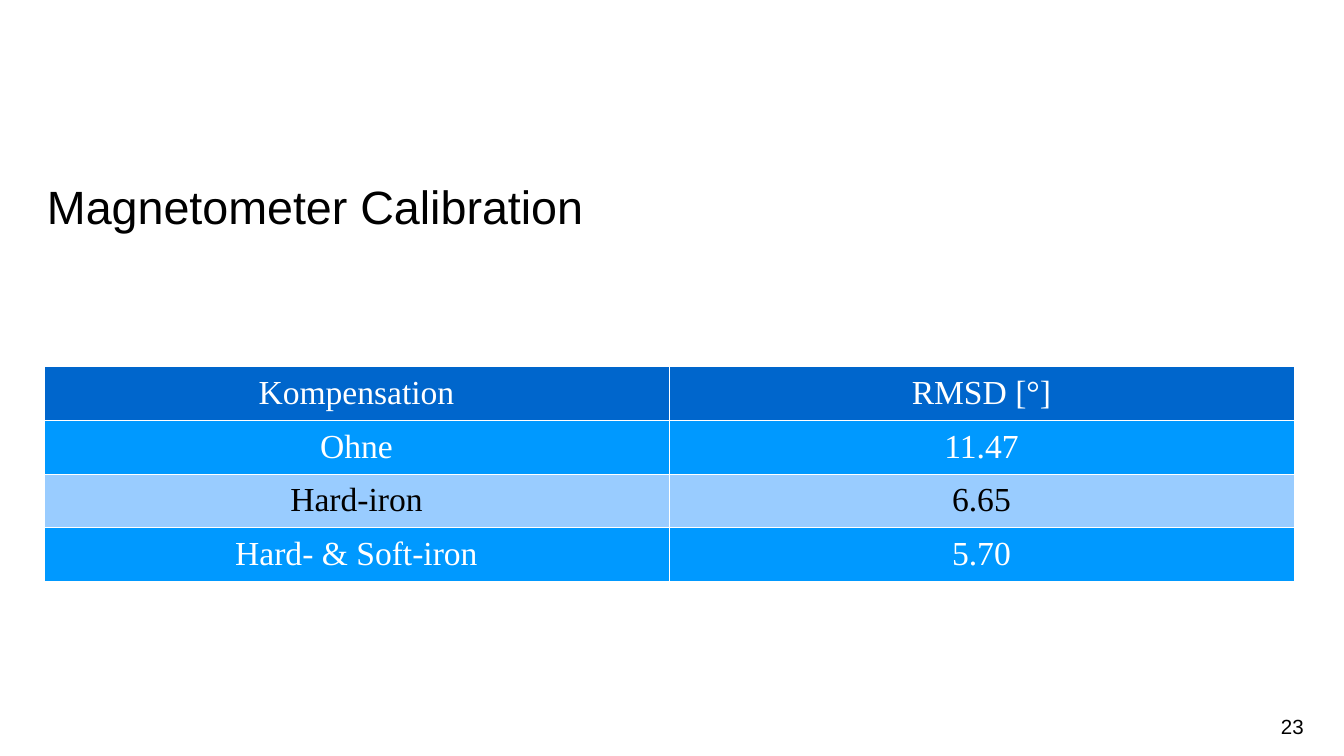
from lxml.etree import SubElement
from pptx import Presentation
from pptx.dml.color import RGBColor
from pptx.enum.text import MSO_ANCHOR, PP_ALIGN
from pptx.oxml.ns import qn
from pptx.util import Emu, Pt

PX_PER_INCH = 134.4
WHITE = RGBColor(0xFF, 0xFF, 0xFF)
BLACK = RGBColor(0x00, 0x00, 0x00)
HEADER_BLUE = RGBColor(0x00, 0x66, 0xCC)
STRONG_BLUE = RGBColor(0x00, 0x99, 0xFF)
PALE_BLUE = RGBColor(0x99, 0xCC, 0xFF)

RESULTS = [
    ("Kompensation", "RMSD [°]"),
    ("Ohne", "11.47"),
    ("Hard-iron", "6.65"),
    ("Hard- & Soft-iron", "5.70"),
]
# Fill and text colour of each row
ROW_COLOURS = [
    (HEADER_BLUE, WHITE),
    (STRONG_BLUE, WHITE),
    (PALE_BLUE, BLACK),
    (STRONG_BLUE, WHITE),
]


def px(length):
    return Emu(round(length * 914400 / PX_PER_INCH))


def write(frame, text, size, font="Arial", colour=BLACK, align=PP_ALIGN.LEFT):
    para = frame.paragraphs[0]
    para.alignment = align
    span = para.add_run()
    span.text = text
    span.font.size = Pt(size)
    span.font.name = font
    span.font.color.rgb = colour


def add_title(page, text):
    title = page.shapes.title
    title.left, title.top, title.width, title.height = px(47), px(143), px(1251), px(126)
    frame = title.text_frame
    frame.margin_left = frame.margin_top = frame.margin_right = frame.margin_bottom = 0
    frame.vertical_anchor = MSO_ANCHOR.MIDDLE
    write(frame, text, 25)


def add_page_number(page, number):
    box = page.shapes.add_textbox(px(781), px(707), px(536), px(50))
    box.text_frame.word_wrap = True
    write(box.text_frame, number, 11, align=PP_ALIGN.RIGHT)


def add_borders(cell, colour, width):
    """Draw a line on all four sides; call before the cell is filled."""
    properties = cell._tc.get_or_add_tcPr()
    for side in ("lnL", "lnR", "lnT", "lnB"):
        line = SubElement(properties, qn(f"a:{side}"), w=str(Pt(width)))
        fill = SubElement(line, qn("a:solidFill"))
        SubElement(fill, qn("a:srgbClr"), val=str(colour))


def add_results_table(page):
    height = px(214)
    table = page.shapes.add_table(
        len(RESULTS), len(RESULTS[0]), px(44), px(366), px(1250), height
    ).table
    for row, texts, (fill, colour) in zip(table.rows, RESULTS, ROW_COLOURS):
        row.height = Emu(height // len(RESULTS))
        for cell, text in zip(row.cells, texts):
            add_borders(cell, WHITE, 0.06)
            cell.fill.solid()
            cell.fill.fore_color.rgb = fill
            cell.vertical_anchor = MSO_ANCHOR.MIDDLE
            write(cell.text_frame, text, 18, font="Times New Roman",
                  colour=colour, align=PP_ALIGN.CENTER)


def main():
    deck = Presentation()
    deck.slide_width, deck.slide_height = px(1344), px(756)
    page = deck.slides.add_slide(deck.slide_layouts.get_by_name("Title Only"))
    add_page_number(page, "23")
    add_title(page, "Magnetometer Calibration")
    add_results_table(page)
    deck.save("out.pptx")


if __name__ == "__main__":
    main()
